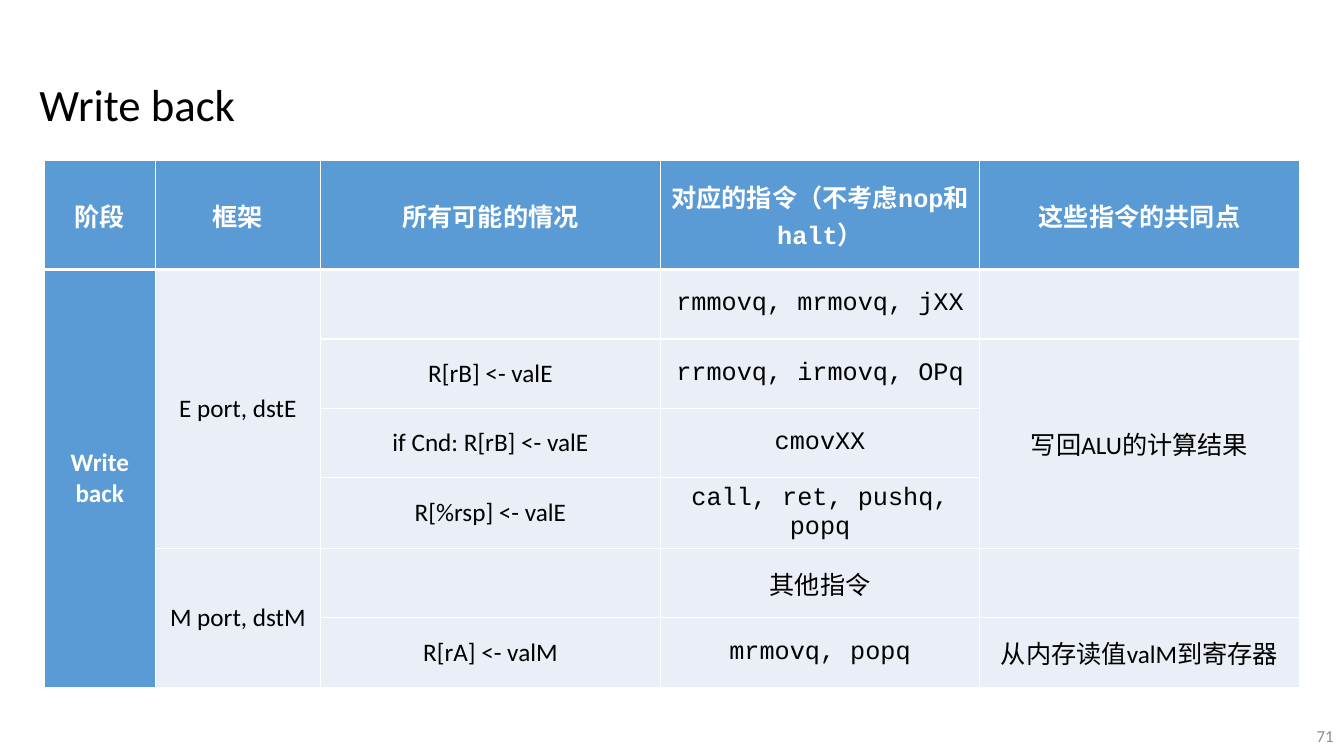
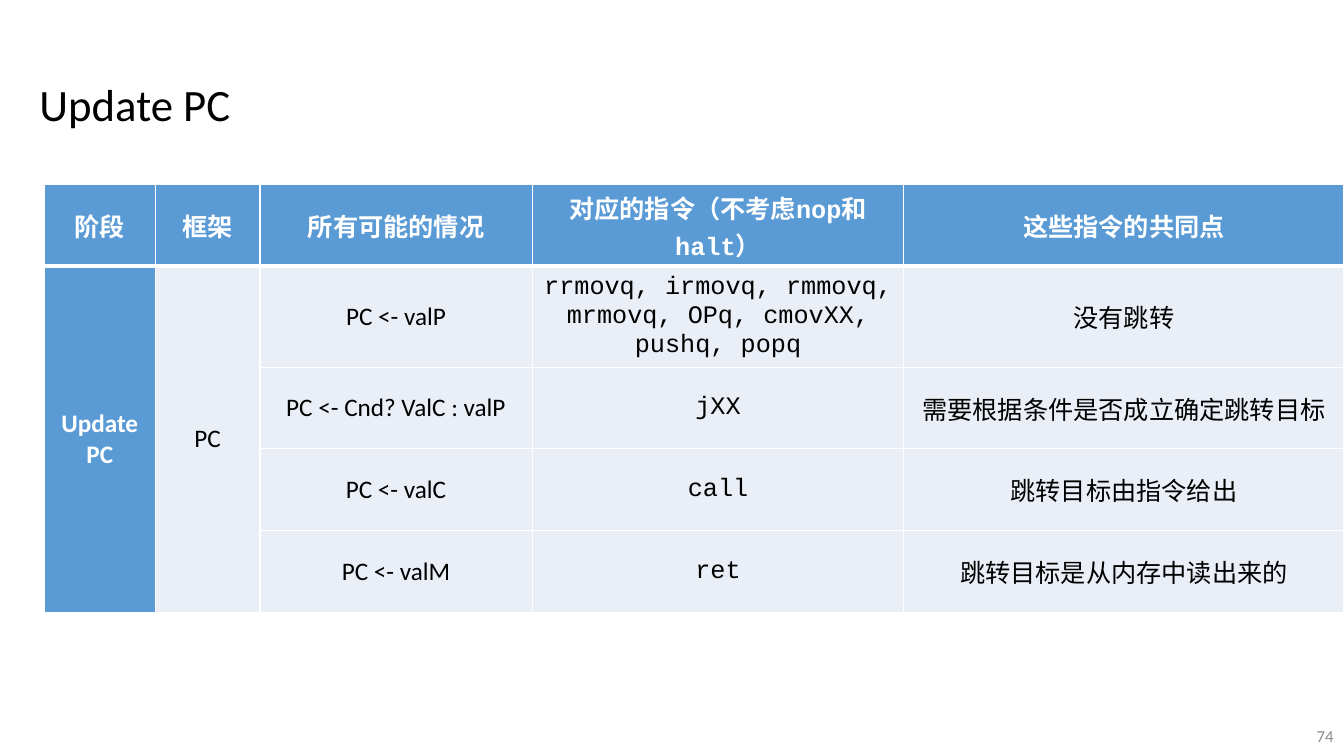
import lxml.etree
import pptx
import pptx.dml.color
import pptx.enum.text
import pptx.oxml.ns
import pptx.util

Cm = pptx.util.Cm
Pt = pptx.util.Pt
ALIGN = pptx.enum.text.PP_ALIGN
ANCHOR = pptx.enum.text.MSO_ANCHOR
qn = pptx.oxml.ns.qn

# Shared style
WHITE = "FFFFFF"
BLACK = "000000"
HEADER_BLUE = "5B9BD5"
BODY_BLUE = "EAEFF7"
GREY = "8C8C8C"
TEXT_FONT = "Calibri"
CODE_FONT = "Courier New"
CHINESE_FONT = "Noto Sans CJK SC"
TABLE_LEFT = 1.12
INSTRUCTION_COLUMN = 3
HEADERS = ["阶段", "框架", "所有可能的情况",
           "对应的指令（不考虑nop和halt）", "这些指令的共同点"]

# Table content: None continues the cell above, "" is an empty cell
WRITE_BACK_ROWS = [
    ["Write back", "E port, dstE", "", "rmmovq, mrmovq, jXX", ""],
    [None, None, "R[rB] <- valE", "rrmovq, irmovq, OPq", "写回ALU的计算结果"],
    [None, None, "if Cnd: R[rB] <- valE", "cmovXX", None],
    [None, None, "R[%rsp] <- valE", "call, ret, pushq, popq", None],
    [None, "M port, dstM", "", "其他指令", ""],
    [None, None, "R[rA] <- valM", "mrmovq, popq", "从内存读值valM到寄存器"],
]
UPDATE_PC_ROWS = [
    ["Update PC", "PC", "PC <- valP",
     "rrmovq, irmovq, rmmovq, mrmovq, OPq, cmovXX, pushq, popq", "没有跳转"],
    [None, None, "PC <- Cnd? ValC : valP", "jXX", "需要根据条件是否成立确定跳转目标"],
    [None, None, "PC <- valC", "call", "跳转目标由指令给出"],
    [None, None, "PC <- valM", "ret", "跳转目标是从内存中读出来的"],
]


def color(hex_string):
    return pptx.dml.color.RGBColor.from_string(hex_string)


def write_text(text_frame, text, size=18, font=TEXT_FONT, fill=BLACK,
               bold=False, align=ALIGN.CENTER):
    paragraph = text_frame.paragraphs[0]
    paragraph.alignment = align
    run = paragraph.add_run()
    run.text = text
    run.font.size = Pt(size)
    run.font.bold = bold
    run.font.name = font
    run.font.color.rgb = color(fill)
    east_asian = lxml.etree.Element(qn("a:ea"), typeface=CHINESE_FONT)
    run.font._element.find(qn("a:latin")).addnext(east_asian)


def add_title(slide, text):
    title = slide.shapes.title
    title.left, title.top = Cm(0.74), Cm(1.8)
    title.width, title.height = Cm(15.42), Cm(1.63)
    title.text_frame.vertical_anchor = ANCHOR.TOP
    title.text_frame.word_wrap = True
    write_text(title.text_frame, text, size=32, align=ALIGN.LEFT)


def add_page_number(slide, number):
    box = slide.shapes.add_textbox(Cm(26.24), Cm(18.03), Cm(7.62), Cm(1.02))
    box.text_frame.word_wrap = True
    box.text_frame.vertical_anchor = ANCHOR.MIDDLE
    write_text(box.text_frame, str(number), size=12, fill=GREY, align=ALIGN.RIGHT)


def set_borders(cell, **widths):
    """Draw white borders; keywords L, R, T and B override the 1 pt width."""
    properties = cell._tc.get_or_add_tcPr()
    for side in "LRTB":
        line = lxml.etree.SubElement(properties, qn("a:ln" + side),
                                     w=str(Pt(widths.get(side, 1))))
        solid = lxml.etree.SubElement(line, qn("a:solidFill"))
        lxml.etree.SubElement(solid, qn("a:srgbClr"), val=WHITE)


def format_cell(cell, row, column):
    # The thick rule lies between the header and the first body row
    if row == 0:
        set_borders(cell, B=3)
    elif row == 1:
        set_borders(cell, T=3)
    else:
        set_borders(cell)
    cell.fill.solid()
    is_heading = row == 0 or column == 0
    cell.fill.fore_color.rgb = color(HEADER_BLUE if is_heading else BODY_BLUE)
    cell.vertical_anchor = ANCHOR.MIDDLE


def cell_format(row, column):
    is_heading = row == 0 or column == 0
    is_code = column == INSTRUCTION_COLUMN
    return {"font": CODE_FONT if is_code else TEXT_FONT,
            "fill": WHITE if is_heading else BLACK,
            "bold": is_heading}


def add_stage_table(slide, top, widths, header_height, row_height, body):
    rows = [HEADERS] + body
    heights = [header_height] + [row_height] * len(body)
    frame = slide.shapes.add_table(len(rows), len(HEADERS), Cm(TABLE_LEFT), Cm(top),
                                   Cm(sum(widths)), Cm(sum(heights)))
    table = frame.table
    for column, width in zip(table.columns, widths):
        column.width = Cm(width)
    for row, height in zip(table.rows, heights):
        row.height = Cm(height)
    for row, texts in enumerate(rows):
        for column, text in enumerate(texts):
            cell = table.cell(row, column)
            format_cell(cell, row, column)
            if text:
                write_text(cell.text_frame, text, **cell_format(row, column))
    merge_continued_cells(table, rows)


def merge_continued_cells(table, rows):
    for column in range(len(HEADERS)):
        starts = [row for row, texts in enumerate(rows) if texts[column] is not None]
        for start, following in zip(starts, starts[1:] + [len(rows)]):
            if following - start > 1:
                table.cell(start, column).merge(table.cell(following - 1, column))


def add_stage_slide(presentation, title, number, **table_options):
    slide = presentation.slides.add_slide(presentation.slide_layouts[5])
    add_page_number(slide, number)
    add_title(slide, title)
    add_stage_table(slide, **table_options)


def main():
    presentation = pptx.Presentation()
    presentation.slide_width = Cm(33.87)
    presentation.slide_height = Cm(19.05)
    add_stage_slide(presentation, "Write back", 71, top=4.05,
                    widths=[2.79, 4.17, 8.56, 8.05, 8.05],
                    header_height=2.74, row_height=1.75, body=WRITE_BACK_ROWS)
    add_stage_slide(presentation, "Update PC", 74, top=4.65,
                    widths=[2.79, 2.64, 6.86, 9.37, 11.09],
                    header_height=2.06, row_height=2.06, body=UPDATE_PC_ROWS)
    presentation.save("out.pptx")


if __name__ == "__main__":
    main()
